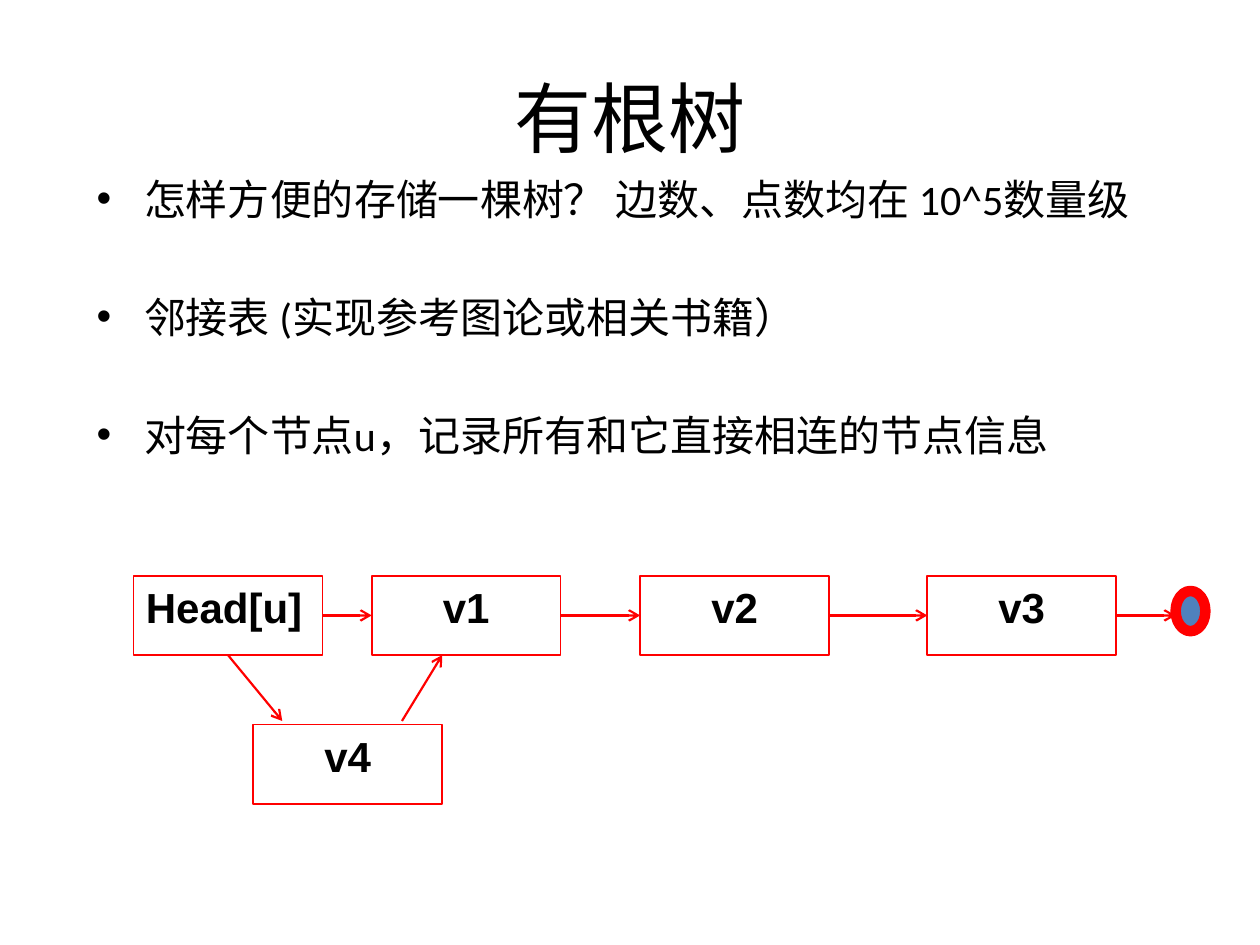
"""Build the slide on storing a rooted tree as an adjacency list."""
from lxml.etree import SubElement as Sub
from pptx import Presentation
from pptx.dml.color import RGBColor
from pptx.enum.shapes import MSO_CONNECTOR as Conn, MSO_SHAPE as Kind
from pptx.enum.text import MSO_ANCHOR as Anchor, PP_ALIGN as Align
from pptx.oxml.ns import qn
from pptx.util import Pt

TITLE = "有根树"
POINTS = [
    "怎样方便的存储一棵树？ 边数、点数均在 10^5数量级",
    "邻接表 (实现参考图论或相关书籍）",
    "对每个节点u，记录所有和它直接相连的节点信息",
]
CHAIN = [("Head[u]", 76.3), ("v1", 212.4), ("v2", 365.8), ("v3", 529.9)]
EXTRA = ("v4", 144.7)
WIDE, HIGH = 108, 45.36
ROW, LOW = 329, 414
END = (671.8, 337.7, 23, 23)
RED, BLUE, WHITE, BLACK = "FF0000", "4F81BD", "FFFFFF", "000000"


def color(code):
    return RGBColor.from_string(code)


def write(frame, lines, size=24, font="Arial", bold=False, align=Align.LEFT,
          anchor=Anchor.TOP, bullet=False, pitch=None, gap=0):
    frame.word_wrap = True
    frame.vertical_anchor = anchor
    for i, line in enumerate(lines):
        para = frame.add_paragraph() if i else frame.paragraphs[0]
        para.alignment = align
        if pitch:
            para.line_spacing = Pt(pitch)
        if i:
            para.space_before = Pt(gap)
        if bullet:
            props = para._p.get_or_add_pPr()
            props.set("marL", str(Pt(27)))
            props.set("indent", str(Pt(-27)))
            Sub(props, qn("a:buFont"), typeface="Arial")
            Sub(props, qn("a:buChar"), char="•")
        run = para.add_run()
        run.text = line
        run.font.size = Pt(size)
        run.font.name = font
        run.font.bold = bold
        run.font.color.rgb = color(BLACK)


def label(slide, area, lines, **form):
    box = slide.shapes.add_textbox(*map(Pt, area))
    write(box.text_frame, lines, **form)


def shape(slide, kind, area, fill, width):
    item = slide.shapes.add_shape(kind, *map(Pt, area))
    item.shadow.inherit = False
    item.fill.solid()
    item.fill.fore_color.rgb = color(fill)
    item.line.color.rgb = color(RED)
    item.line.width = Pt(width)
    return item


def node(slide, name, left, top, align=Align.CENTER):
    item = shape(slide, Kind.RECTANGLE, (left, top, WIDE, HIGH), WHITE, 1)
    write(item.text_frame, [name], bold=True, align=align)


def arrow(slide, *ends):
    link = slide.shapes.add_connector(Conn.STRAIGHT, *map(Pt, ends))
    link.line.color.rgb = color(RED)
    link.line.width = Pt(1.25)
    Sub(link.line._get_or_add_ln(), qn("a:tailEnd"), type="arrow")
    Sub(link._element.spPr, qn("a:effectLst"))


def main():
    deck = Presentation()
    deck.slide_width, deck.slide_height = Pt(720), Pt(540)
    slide = deck.slides.add_slide(deck.slide_layouts[6])
    label(slide, (36, 21.6, 648, 90), [TITLE], size=44,
          font="Noto Sans CJK SC", align=Align.CENTER, anchor=Anchor.MIDDLE)
    label(slide, (48.2, 94.3, 663, 390), POINTS, font="Calibri",
          bullet=True, pitch=30, gap=37.4)

    for i, (name, left) in enumerate(CHAIN):
        node(slide, name, left, ROW, Align.CENTER if i else Align.LEFT)
    mid, base = ROW + HIGH / 2, ROW + HIGH
    stops = [left for _, left in CHAIN[1:]] + [END[0]]
    for (_, left), stop in zip(CHAIN, stops):
        arrow(slide, left + WIDE, mid, stop, mid)
    shape(slide, Kind.OVAL, (END[0], END[1], 17, END[3]), BLUE, 6)

    name, left = EXTRA
    node(slide, name, left, LOW)
    head, first = CHAIN[0][1], CHAIN[1][1]
    arrow(slide, head + WIDE / 2, base, left + 16.6, LOW - 2)
    arrow(slide, left + 85, LOW - 2, first + 40.3, base)
    deck.save("out.pptx")


if __name__ == "__main__":
    main()
